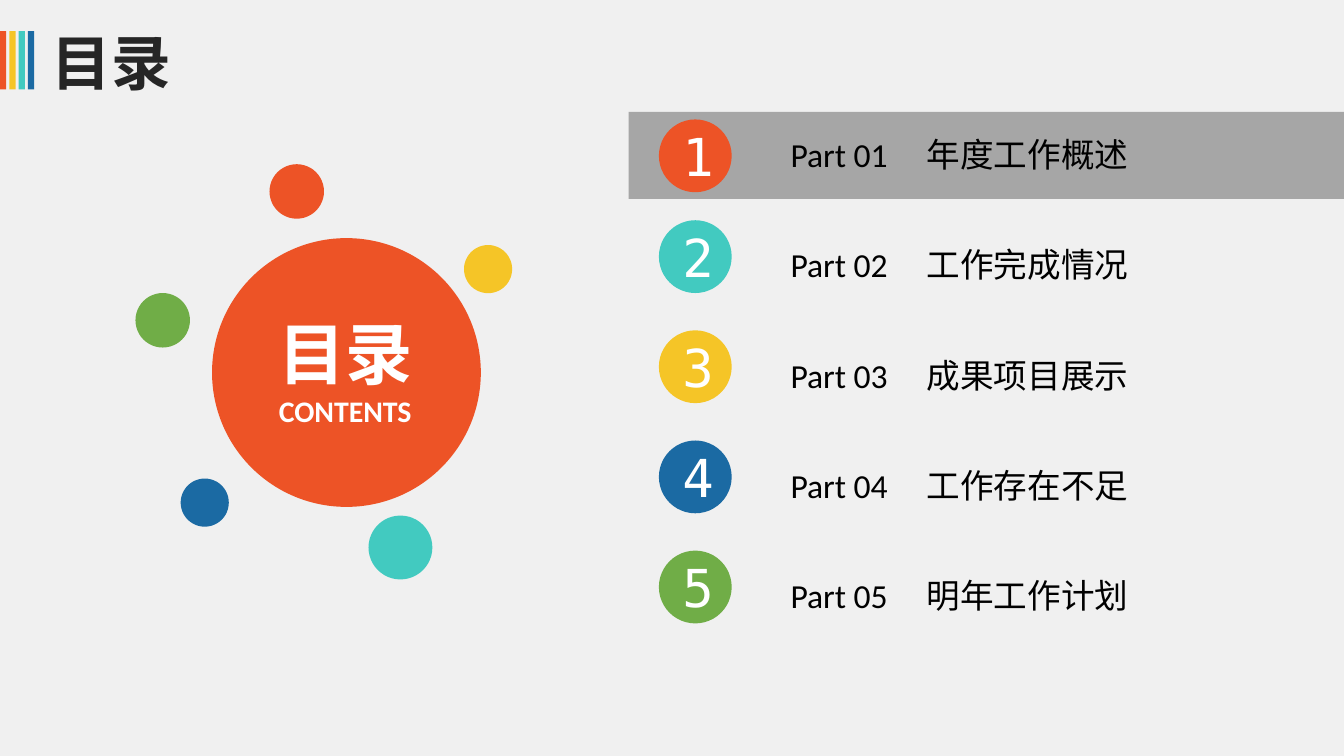
from dataclasses import dataclass

from lxml.etree import SubElement
from pptx import Presentation
from pptx.dml.color import RGBColor
from pptx.enum.shapes import MSO_SHAPE as Preset
from pptx.enum.text import MSO_ANCHOR as Anchor, PP_ALIGN as Align
from pptx.oxml.ns import qn
from pptx.util import Pt


@dataclass(frozen=True)
class Theme:
    background: str = "F0F0F0"
    red: str = "ED5326"
    yellow: str = "F5C527"
    teal: str = "42CAC0"
    blue: str = "1B6AA3"
    green: str = "70AD47"
    band: str = "A6A6A6"
    heading: str = "262626"
    black: str = "000000"
    white: str = "FFFFFF"
    font: str = "Calibri"
    number_font: str = "DejaVu Sans Mono"
    title_size: int = 32
    hub_size: int = 36
    caption_size: int = 16
    entry_size: int = 18
    number_size: int = 28


theme = Theme()
prs = Presentation()
prs.slide_width, prs.slide_height = Pt(720), Pt(405)
slide = prs.slides.add_slide(prs.slide_layouts[5])
slide.background.fill.solid()
slide.background.fill.fore_color.rgb = RGBColor.from_string(theme.background)


def add_block(preset, left, top, width, height, color):
    block = slide.shapes.add_shape(preset, Pt(left), Pt(top), Pt(width), Pt(height))
    block.shadow.inherit = False
    block.fill.solid()
    block.fill.fore_color.rgb = RGBColor.from_string(color)
    block.line.fill.background()
    return block


def add_run(paragraph, text, size, color, align, font=theme.font, bold=False):
    paragraph.alignment = align
    run = paragraph.add_run()
    run.text = text
    run.font.name, run.font.size, run.font.bold = font, Pt(size), bold
    run.font.color.rgb = RGBColor.from_string(color)


# Title with its four coloured bars
for i, color in enumerate([theme.red, theme.yellow, theme.teal, theme.blue]):
    add_block(Preset.RECTANGLE, 5 * i, 16.7, 3.4, 31.3, color)

title = slide.shapes.title
title.left, title.top, title.width, title.height = Pt(15), Pt(15), Pt(213), Pt(36)
title_frame = title.text_frame
title_frame.vertical_anchor = Anchor.MIDDLE
title_frame.margin_left = Pt(12.5)
add_run(title_frame.paragraphs[0], "目录", theme.title_size, theme.heading,
        Align.LEFT, bold=True)

# Band behind the current part
add_block(Preset.RECTANGLE, 336.8, 60, 383.2, 46.6, theme.band)

# Numbered list of parts
parts = [
    ("年度工作概述", theme.red),
    ("工作完成情况", theme.teal),
    ("成果项目展示", theme.yellow),
    ("工作存在不足", theme.blue),
    ("明年工作计划", theme.green),
]
row_step = 59
for i, (name, color) in enumerate(parts):
    entry = slide.shapes.add_textbox(Pt(409.5), Pt(68.4 + row_step * i), Pt(209), Pt(29))
    entry_frame = entry.text_frame
    entry_frame.word_wrap = True
    entry_frame.margin_left = Pt(14)
    entry_line = entry_frame.paragraphs[0]
    add_run(entry_line, f"Part {i + 1:02d}\t", theme.entry_size, theme.black, Align.LEFT)
    add_run(entry_line, name, theme.entry_size, theme.black, Align.LEFT)
    # A tab stop lines up the part names
    tabs = SubElement(entry_line._p.get_or_add_pPr(), qn("a:tabLst"))
    SubElement(tabs, qn("a:tab"), pos=str(Pt(73)), algn="l")

    # The first badge sits lower, centred in the band
    badge_top = 64 if i == 0 else row_step * (i + 1)
    badge = add_block(Preset.OVAL, 353, badge_top, 39, 39, color)
    badge_frame = badge.text_frame
    badge_frame.vertical_anchor = Anchor.MIDDLE
    badge_frame.margin_left, badge_frame.margin_right = Pt(3), Pt(0)
    badge_frame.margin_top = badge_frame.margin_bottom = Pt(0)
    add_run(badge_frame.paragraphs[0], str(i + 1), theme.number_size, theme.white,
            Align.CENTER, font=theme.number_font)

# Central circle and its label
add_block(Preset.OVAL, 113.6, 127.6, 144, 144, theme.red)
hub = slide.shapes.add_textbox(Pt(105), Pt(163.5), Pt(160), Pt(70.5))
hub_frame = hub.text_frame
hub_frame.word_wrap = True
add_run(hub_frame.paragraphs[0], "目录", theme.hub_size, theme.white,
        Align.CENTER, bold=True)
add_run(hub_frame.add_paragraph(), "CONTENTS", theme.caption_size, theme.white,
        Align.CENTER, bold=True)

# Satellite dots: left, top, diameter, colour
for left, top, diameter, color in [
    (144.4, 88, 29.2, theme.red),
    (248.6, 131.3, 25.8, theme.yellow),
    (96.8, 256.4, 25.8, theme.blue),
    (72.6, 157, 29.2, theme.green),
    (197.4, 276.2, 34.2, theme.teal),
]:
    add_block(Preset.OVAL, left, top, diameter, diameter, color)

prs.save("out.pptx")
